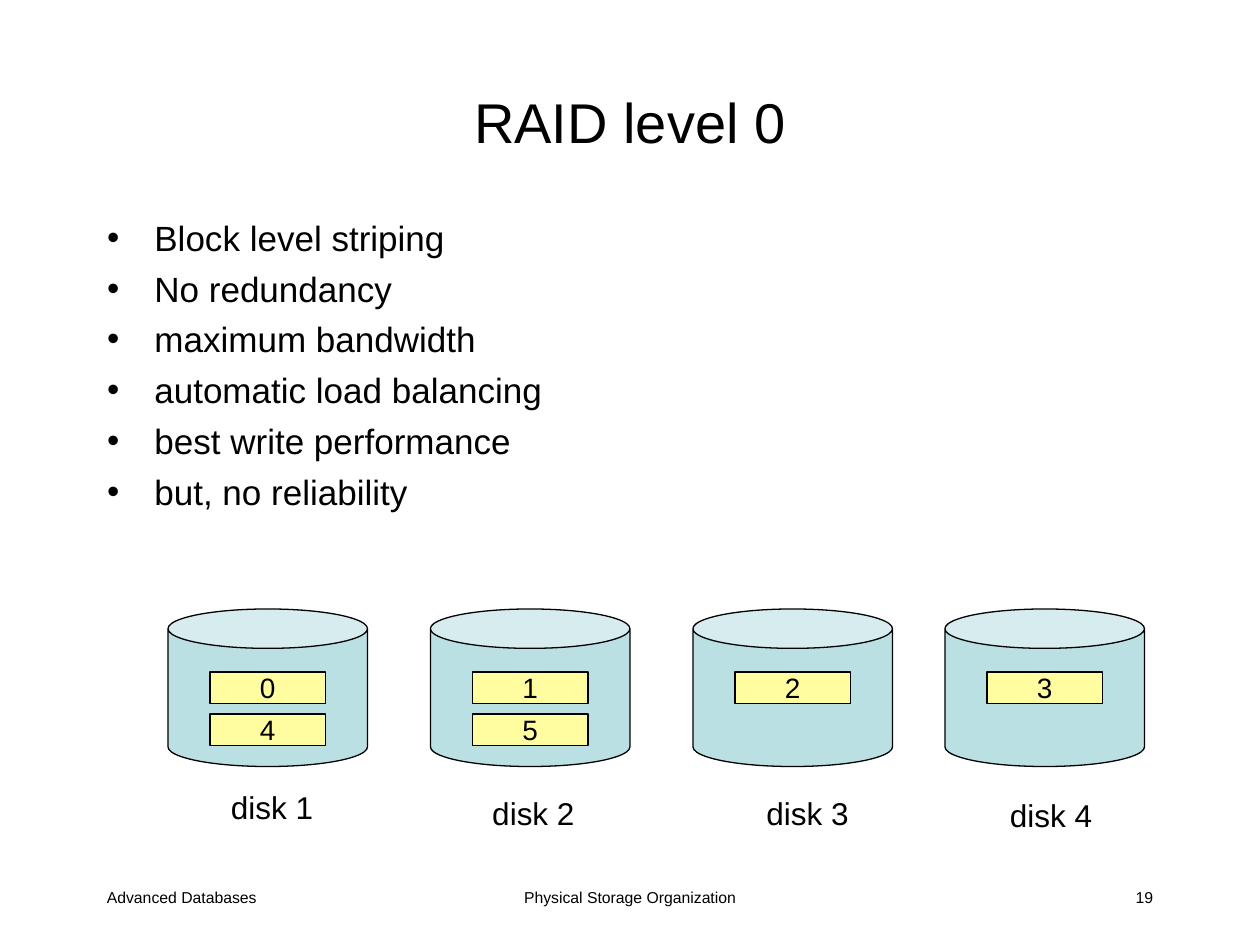
from dataclasses import dataclass

from pptx import Presentation
from pptx.dml.color import RGBColor
from pptx.enum.shapes import MSO_SHAPE as SHAPE
from pptx.enum.text import MSO_ANCHOR as ANCHOR, MSO_AUTO_SIZE as AUTO, PP_ALIGN as ALIGN
from pptx.util import Inches, Pt


@dataclass(frozen=True)
class Theme:
    font: str = "Arial"
    ink: str = "000000"
    disk: str = "BBE0E3"
    block: str = "FFFDA0"
    title: int = 32
    body: int = 20
    label: int = 18
    number: int = 16
    footer: int = 9
    line: float = 0.75


COLS, ROWS = 120, 90
DISK_ROW, BLOCK_ROW, BLOCK_STEP = 58, 64, 4

BULLETS = [
    "Block level striping",
    "No redundancy",
    "maximum bandwidth",
    "automatic load balancing",
    "best write performance",
    "but, no reliability",
]
# disk column, block numbers, label column, label row
DISKS = [
    (16, (0, 4), 20.8, 74.5),
    (41, (1, 5), 45.7, 75),
    (66, (2,), 71.8, 75),
    (90, (3,), 95, 75.2),
]
FOOTERS = [
    ("Advanced Databases", 9, 25, ALIGN.LEFT),
    ("Physical Storage Organization", 41, 38, ALIGN.CENTER),
    ("19", 86, 25, ALIGN.RIGHT),
]


class Deck:
    """Draws on the current slide; every box is (column, row, columns, rows)."""

    def __init__(self, theme):
        self.theme = theme
        self.prs = Presentation()
        self.prs.slide_width, self.prs.slide_height = Inches(10), Inches(7.5)
        self.slide = None

    def add_slide(self):
        self.slide = self.prs.slides.add_slide(self.prs.slide_layouts[1])

    def place(self, box):
        """Turn a grid box into slide lengths."""
        x, y, w, h = box
        cw, rh = self.prs.slide_width / COLS, self.prs.slide_height / ROWS
        return [round(v) for v in (x * cw, y * rh, w * cw, h * rh)]

    def set_text(self, sp, lines, size, align, anchor=ANCHOR.TOP, wrap=True, before=0):
        tf = sp.text_frame
        tf.text = "\n".join(lines)
        tf.word_wrap, tf.auto_size, tf.vertical_anchor = wrap, AUTO.NONE, anchor
        for p in tf.paragraphs:
            p.alignment, p.space_before = align, Pt(before)
            p.font.name, p.font.size = self.theme.font, Pt(size)
            p.font.color.rgb = RGBColor.from_string(self.theme.ink)

    def placeholder(self, idx, box, lines, size, align, **style):
        sp = self.slide.placeholders[idx]
        sp.left, sp.top, sp.width, sp.height = self.place(box)
        self.set_text(sp, lines, size, align, **style)

    def text(self, box, text, size, align=ALIGN.LEFT, wrap=True):
        sp = self.slide.shapes.add_textbox(*self.place(box))
        self.set_text(sp, [text], size, align, wrap=wrap)
        return sp

    def shape(self, kind, box, fill):
        sp = self.slide.shapes.add_shape(kind, *self.place(box))
        sp.shadow.inherit = False
        sp.fill.solid()
        sp.fill.fore_color.rgb = RGBColor.from_string(fill)
        sp.line.color.rgb = RGBColor.from_string(self.theme.ink)
        sp.line.width = Pt(self.theme.line)
        return sp

    def disk(self, col, numbers):
        """Draw a cylinder with its numbered blocks stacked inside."""
        can = self.shape(SHAPE.CAN, (col, DISK_ROW, 19, 15), self.theme.disk)
        can.adjustments[0] = 0.25
        for i, number in enumerate(numbers):
            box = (col + 4, BLOCK_ROW + i * BLOCK_STEP, 11, 3)
            sp = self.shape(SHAPE.RECTANGLE, box, self.theme.block)
            self.set_text(sp, [str(number)], self.theme.number, ALIGN.CENTER,
                          anchor=ANCHOR.MIDDLE, wrap=False)

    def label(self, col, row, text):
        sp = self.text((col, row, 10.2, 4.8), text, self.theme.label, wrap=False)
        sp.text_frame.auto_size = AUTO.SHAPE_TO_FIT_TEXT


def main():
    theme = Theme()
    deck = Deck(theme)
    deck.add_slide()
    deck.placeholder(0, (9, 4, 102, 15), ["RAID level 0"], theme.title,
                     ALIGN.CENTER, anchor=ANCHOR.MIDDLE)
    deck.placeholder(1, (9, 20, 102, 62), BULLETS, theme.body, ALIGN.LEFT, before=5)
    for n, (col, numbers, label_col, label_row) in enumerate(DISKS, 1):
        deck.disk(col, numbers)
        deck.label(label_col, label_row, f"disk {n}")
    for text, col, width, align in FOOTERS:
        deck.text((col, 84, width, 4), text, theme.footer, align)
    deck.prs.save("out.pptx")


if __name__ == "__main__":
    main()
